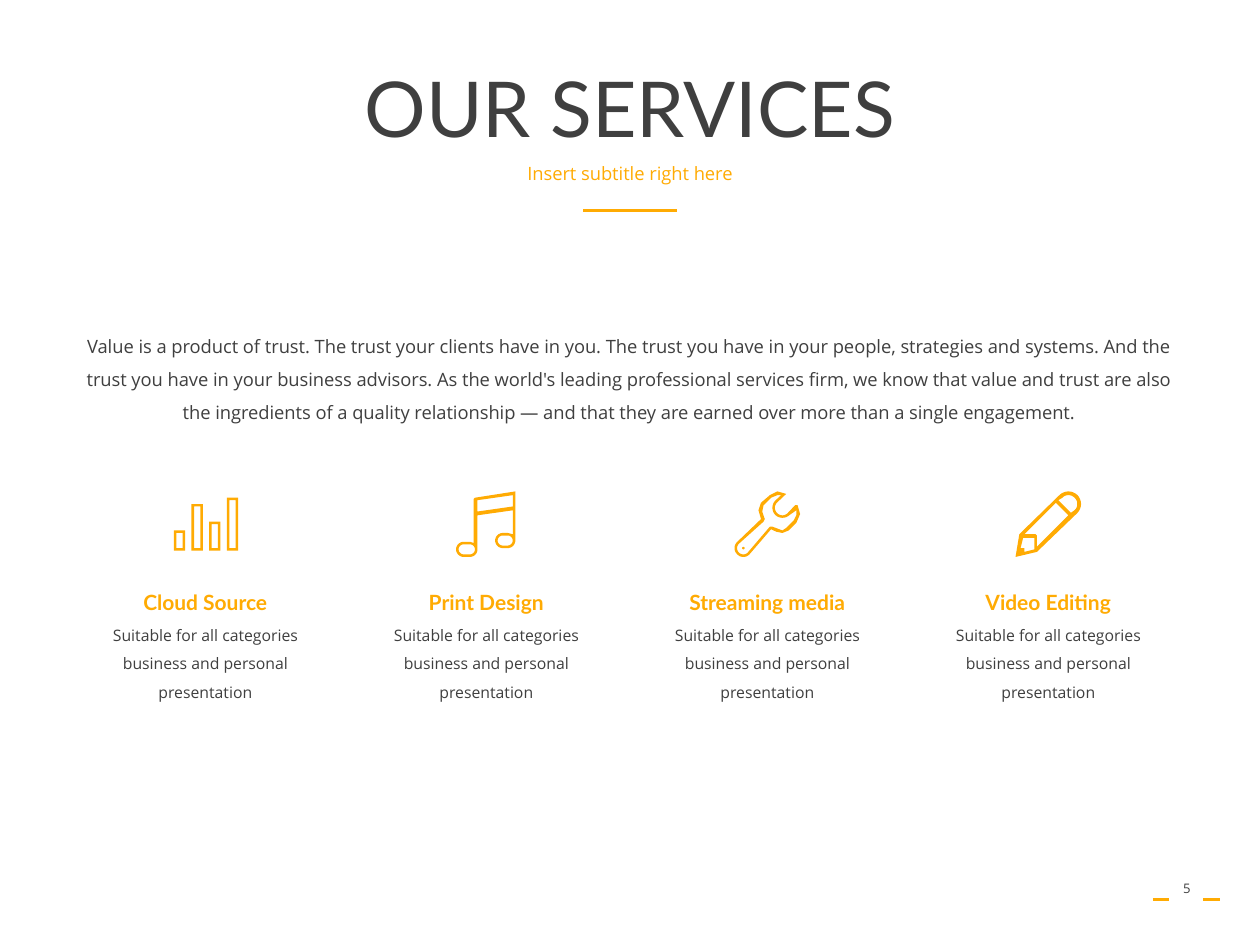
from dataclasses import dataclass
from math import cos, radians, sin

from lxml import etree
from pptx import Presentation, util as u
from pptx.dml.color import RGBColor
from pptx.enum import shapes, text
from pptx.oxml.ns import qn

WIDE, HIGH = 10, 7.5
GOLD, GREY = "FFAB03", "3F3F3F"
FIRST, STEP = 1.63, 2.23  # centre of the first column, column pitch
HEAD, BODY = "Lato", "Open Sans"
Points = list[tuple[float, float]]


@dataclass
class Service:
    """One column: its heading, heading width and icon outlines."""
    name: str
    width: float
    icon: list[Points]


def color(code: str) -> RGBColor:
    """Turn a hex string into a colour."""
    return RGBColor.from_string(code)


def arc(x: float, y: float, r: float, start: int, end: int) -> Points:
    """Points along a circular arc, clockwise from the right in degrees."""
    turns = [radians(start + (end - start) * i / 16) for i in range(17)]
    return [(x + r * cos(t), y + r * sin(t)) for t in turns]


def pill(left: float, right: float, y: float, r: float) -> Points:
    """A bar with round ends, given the centres of its ends."""
    return arc(left, y, r, 270, 90) + arc(right, y, r, 90, -90)


def rect(left: float, top: float, right: float, low: float) -> Points:
    """Corners of a rectangle."""
    return [(left, top), (right, top), (right, low), (left, low)]


def bars() -> list[Points]:
    """Four hollow bars on one base line."""
    rings = []
    for i, top in enumerate((4.21, 4.0, 4.14, 3.95)):
        left = 1.38 + 0.14 * i
        rings += [rect(left, top, left + 0.09, 4.37),
                  rect(left + 0.02, top + 0.02, left + 0.07, 4.35)]
    return rings


def note() -> list[Points]:
    """Two joined music notes."""
    edge = [(4.09, 3.9), (3.77, 3.95), (3.76, 3.96), (3.76, 4.31), (3.73, 4.3),
            *arc(3.68, 4.36, 0.06, 270, 90), *arc(3.73, 4.36, 0.06, 90, 0),
            (3.79, 4.09), (4.07, 4.05), (4.07, 4.24), (4.03, 4.23),
            *arc(3.99, 4.29, 0.06, 270, 90), *arc(4.03, 4.29, 0.06, 90, 0)]
    beam = [(4.07, 4.02), (3.79, 4.06), (3.79, 3.97), (4.07, 3.93)]
    return [edge, beam, pill(3.68, 3.73, 4.36, 0.04), pill(3.99, 4.03, 4.29, 0.04)]


def wrench() -> list[Points]:
    """A spanner with a hole in its handle."""
    edge = [(6.33, 4.01), (6.31, 4.01), *arc(6.21, 4.03, 0.06, 45, 225),
            (6.24, 3.92), (6.17, 3.9), (6.11, 3.93), (6.04, 3.99), (6.02, 4.05),
            (6.04, 4.12), *arc(5.9, 4.35, 0.07, 225, 45), (6.12, 4.2),
            (6.16, 4.22), (6.21, 4.23), (6.26, 4.21), (6.32, 4.15), (6.35, 4.08)]
    core = [(6.32, 4.05), *arc(6.21, 4.03, 0.08, 45, 225), (6.2, 3.93),
            (6.17, 3.93), (6.12, 3.95), (6.06, 4.01), (6.05, 4.06), (6.07, 4.12),
            (6.06, 4.14), *arc(5.9, 4.35, 0.05, 225, 45), (6.11, 4.18),
            (6.13, 4.18), (6.21, 4.21), (6.24, 4.19), (6.3, 4.13), (6.32, 4.09)]
    return [edge, core, arc(5.9, 4.35, 0.01, 0, 360)]


def pencil() -> list[Points]:
    """A slanted pencil with a round end."""
    edge = [*arc(8.48, 4, 0.1, 225, 405), (8.23, 4.38), (8.06, 4.42), (8.09, 4.24)]
    tip = [(8.21, 4.36), (8.13, 4.38), (8.13, 4.35), (8.1, 4.35),
           (8.12, 4.27), (8.21, 4.27)]
    shaft = [(8.23, 4.34), (8.23, 4.25), (8.22, 4.24), (8.13, 4.24),
             (8.38, 3.99), (8.48, 4.09)]
    cap = [*arc(8.48, 4, 0.07, 225, 405), (8.5, 4.07), (8.4, 3.97)]
    return [edge, tip, shaft, cap]


def draw(slide, rings: list[Points]) -> None:
    """Fill a set of outlines as one shape."""
    pen = None
    for ring in rings:
        dots = [(x * 1000, y * 1000) for x, y in ring]
        if pen is None:
            pen = slide.shapes.build_freeform(*dots[0], scale=u.Inches(1) / 1000)
        else:
            pen.move_to(*dots[0])
        pen.add_line_segments(dots[1:], close=True)
    icon = pen.convert_to_shape()
    icon.shadow.inherit = False
    icon.fill.solid()
    icon.fill.fore_color.rgb = color(GOLD)
    icon.line.fill.background()


def rule(slide, left: float, right: float, y: float) -> None:
    """Draw a level gold line."""
    line = slide.shapes.add_connector(
        shapes.MSO_CONNECTOR.STRAIGHT, *map(u.Inches, (left, y, right, y)))
    line.line.color.rgb, line.line.width = color(GOLD), u.Pt(1.75)
    etree.SubElement(line._element.spPr, qn("a:effectLst"))


def write(shape, words: str, size: float, face: str = BODY, tone: str = GREY,
          bold: bool = False, wrap: bool = True, anchor=text.MSO_ANCHOR.TOP,
          **layout) -> None:
    """Put one centred paragraph into a shape."""
    frame = shape.text_frame
    frame.text = words
    para = frame.paragraphs[0]
    para.font.color.rgb = color(tone)
    jobs = (
        (frame, dict(word_wrap=wrap, vertical_anchor=anchor,
                     auto_size=text.MSO_AUTO_SIZE.NONE)),
        (para, dict(alignment=text.PP_ALIGN.CENTER, **layout)),
        (para.font, dict(size=u.Pt(size), name=face, bold=bold)),
    )
    for item, values in jobs:
        for key, value in values.items():
            setattr(item, key, value)


def box(slide, left: float, top: float, width: float, height: float):
    """Add an empty text box."""
    return slide.shapes.add_textbox(*map(u.Inches, (left, top, width, height)))


def main() -> None:
    """Build and save the slide."""
    deck = Presentation()
    deck.slide_width, deck.slide_height = u.Inches(WIDE), u.Inches(HIGH)
    slide = deck.slides.add_slide(deck.slide_layouts[5])

    for left, right, y in ((4.63, 5.37, 1.67), (9.15, 9.28, 7.14), (9.55, 9.68, 7.14)):
        rule(slide, left, right, y)

    title = slide.shapes.title
    spot = dict(left=0.69, top=0.4, width=8.62, height=0.98)
    for key, value in spot.items():
        setattr(title, key, u.Inches(value))
    write(title, "OUR SERVICES", 44, HEAD, anchor=text.MSO_ANCHOR.MIDDLE,
          line_spacing=0.9)
    write(box(slide, 0.69, 1.26, 8.62, 0.4), "Insert subtitle right here", 10.5,
          tone=GOLD, line_spacing=0.9, space_before=u.Pt(10))
    write(box(slide, 9.2, 6.94, 0.44, 0.4), "5", 7.5)
    write(box(slide, 0.52, 2.52, 8.95, 1.04),
          "Value is a product of trust. The trust your clients have in you. "
          "The trust you have in your people, strategies and systems. And the "
          "trust you have in your business advisors. As the world's leading "
          "professional services firm, we know that value and trust are also "
          "the ingredients of a quality relationship — and that they are "
          "earned over more than a single engagement.", 10.5, line_spacing=1.5)

    services = (Service("Cloud Source", 1.2, bars()),
                Service("Print Design", 1.13, note()),
                Service("Streaming media", 1.46, wrench()),
                Service("Video Editing", 1.2, pencil()))
    for i, item in enumerate(services):
        mid = FIRST + STEP * i
        write(box(slide, mid - item.width / 2, 4.63, item.width, 0.3), item.name,
              12, HEAD, GOLD, bold=True, wrap=False)
        write(box(slide, mid - 1.05, 4.84, 2.1, 0.78),
              "Suitable for all categories business and personal presentation",
              9, line_spacing=1.5)
        draw(slide, item.icon)

    deck.save("out.pptx")


main()
